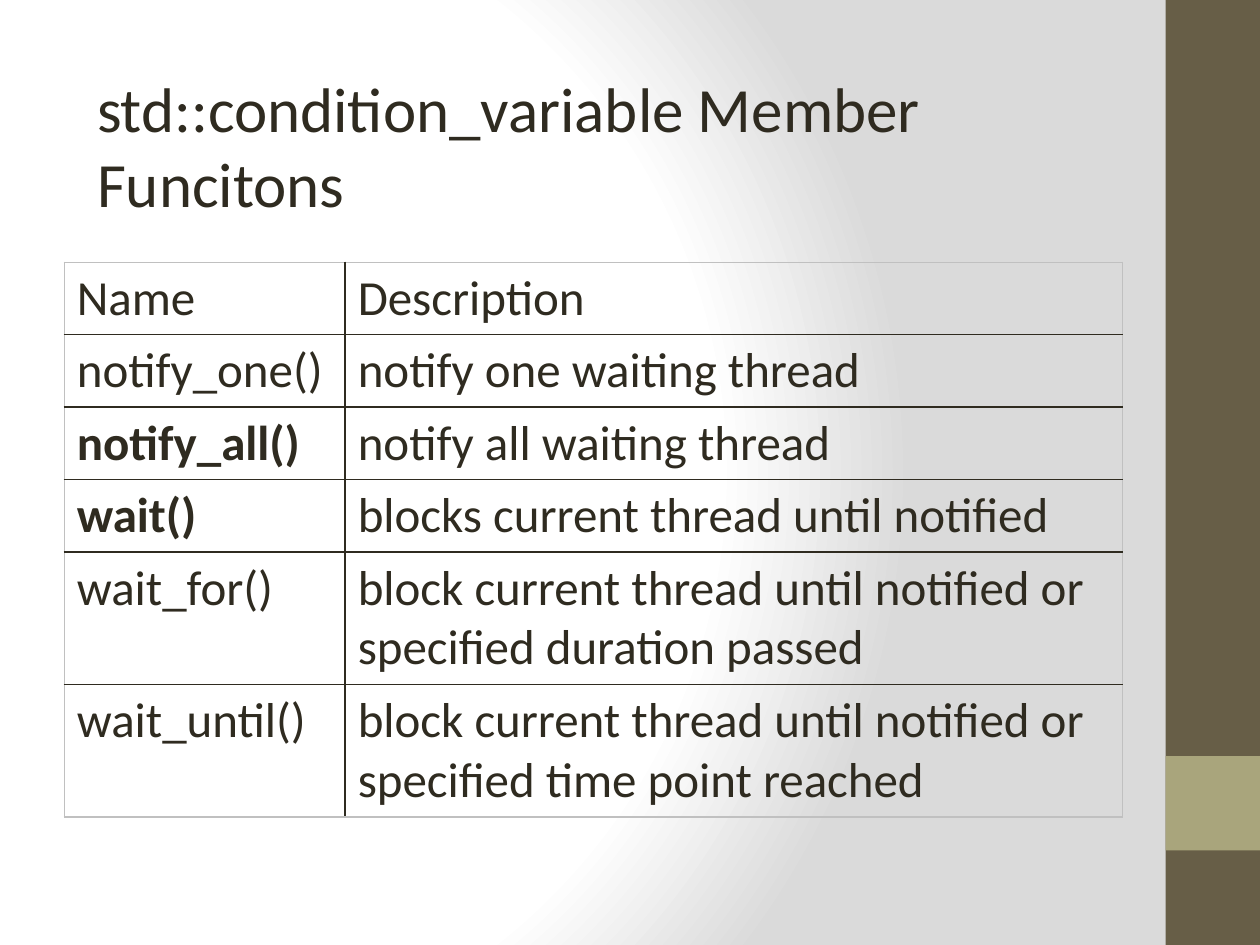
"""Build the slide listing the member functions of std::condition_variable."""
from typing import NamedTuple

from pptx import Presentation
from pptx.dml.color import RGBColor
from pptx.enum.shapes import MSO_SHAPE as Shape
from pptx.enum.text import MSO_ANCHOR as Anchor, PP_ALIGN as Align
from pptx.oxml import parse_xml
from pptx.oxml.ns import nsdecls
from pptx.util import Inches, Pt

FONT = "Calibri"
COLORS = {
    "text": "2F2B20",
    "edge": "C0C0C0",
    "band": "675E47",
    "accent": "A9A57C",
    "center": "FFFFFF",
    "rim": "DADADA",
}


class Band(NamedTuple):
    top: float
    height: float
    color: str


class Member(NamedTuple):
    name: str
    description: str
    bold: bool = False
    lines: int = 1


BANDS = [Band(0, 7.5, "band"), Band(6, 0.75, "accent")]
MEMBERS = [
    Member("Name", "Description"),
    Member("notify_one()", "notify one waiting thread"),
    Member("notify_all()", "notify all waiting thread", bold=True),
    Member("wait()", "blocks current thread until notified", bold=True),
    Member("wait_for()", "block current thread until notified or specified duration passed", lines=2),
    Member("wait_until()", "block current thread until notified or specified time point reached", lines=2),
]
COLUMN_WIDTHS = [2.23, 6.17]
ROW_HEIGHTS = {1: 0.57, 2: 1.03}


def rgb(name: str) -> RGBColor:
    return RGBColor.from_string(COLORS[name])


def set_background(slide) -> None:
    stops = "".join(
        f'<a:gs pos="{percent * 1000}"><a:srgbClr val="{COLORS[color]}"/></a:gs>'
        for percent, color in [(0, "center"), (75, "center"), (100, "rim")]
    )
    background = parse_xml(
        f'<p:bg {nsdecls("p", "a")}><p:bgPr><a:gradFill rotWithShape="1"><a:gsLst>{stops}</a:gsLst>'
        '<a:path path="circle"><a:fillToRect l="20000" t="50000" r="100000" b="50000"/></a:path>'
        "</a:gradFill><a:effectLst/></p:bgPr></p:bg>"
    )
    slide.element.cSld.insert(0, background)


def add_band(slide, band: Band) -> None:
    box = slide.shapes.add_shape(
        Shape.RECTANGLE, Inches(9.25), Inches(band.top), Inches(0.75), Inches(band.height)
    )
    box.shadow.inherit = False
    box.fill.solid()
    box.fill.fore_color.rgb = rgb(band.color)
    box.line.fill.background()


def write_text(frame, text: str, size: int, bold: bool = False) -> None:
    frame.text = text
    para = frame.paragraphs[0]
    para.alignment = Align.LEFT
    font = para.runs[0].font
    font.name, font.size, font.bold = FONT, Pt(size), bold
    font.color.rgb = rgb("text")


def set_title(slide, text: str) -> None:
    title = slide.shapes.title
    title.left, title.top = Inches(0.67), Inches(0.5)
    title.width, title.height = Inches(8.07), Inches(2.26)
    title.text_frame.word_wrap = True
    title.text_frame.vertical_anchor = Anchor.TOP
    write_text(title.text_frame, text, 36)


def set_borders(cell, outer: dict[str, bool]) -> None:
    properties = cell._tc.get_or_add_tcPr()
    for side, is_outer in outer.items():
        color, width = ("edge", Pt(0.75)) if is_outer else ("text", Pt(1))
        properties.append(parse_xml(
            f'<a:ln{side} {nsdecls("a")} w="{width}"><a:solidFill>'
            f'<a:srgbClr val="{COLORS[color]}"/></a:solidFill></a:ln{side}>'
        ))


def add_member_table(slide, members: list[Member]) -> None:
    heights = [ROW_HEIGHTS[member.lines] for member in members]
    table = slide.shapes.add_table(
        len(members), len(COLUMN_WIDTHS), Inches(0.51), Inches(2.08),
        Inches(sum(COLUMN_WIDTHS)), Inches(sum(heights)),
    ).table
    table.first_row = table.horz_banding = False
    for column, width in zip(table.columns, COLUMN_WIDTHS):
        column.width = Inches(width)
    last_row, last_column = len(members) - 1, len(COLUMN_WIDTHS) - 1
    for i, (member, height) in enumerate(zip(members, heights)):
        table.rows[i].height = Inches(height)
        for j, text in enumerate((member.name, member.description)):
            cell = table.cell(i, j)
            write_text(cell.text_frame, text, 28, member.bold and j == 0)
            set_borders(cell, {"L": j == 0, "R": j == last_column, "T": i == 0, "B": i == last_row})
            cell.fill.background()


def main() -> None:
    deck = Presentation()
    deck.slide_width, deck.slide_height = Inches(10), Inches(7.5)
    slide = deck.slides.add_slide(deck.slide_layouts[5])
    set_background(slide)
    for band in BANDS:
        add_band(slide, band)
    set_title(slide, "std::condition_variable Member Funcitons")
    add_member_table(slide, MEMBERS)
    deck.save("out.pptx")


if __name__ == "__main__":
    main()
